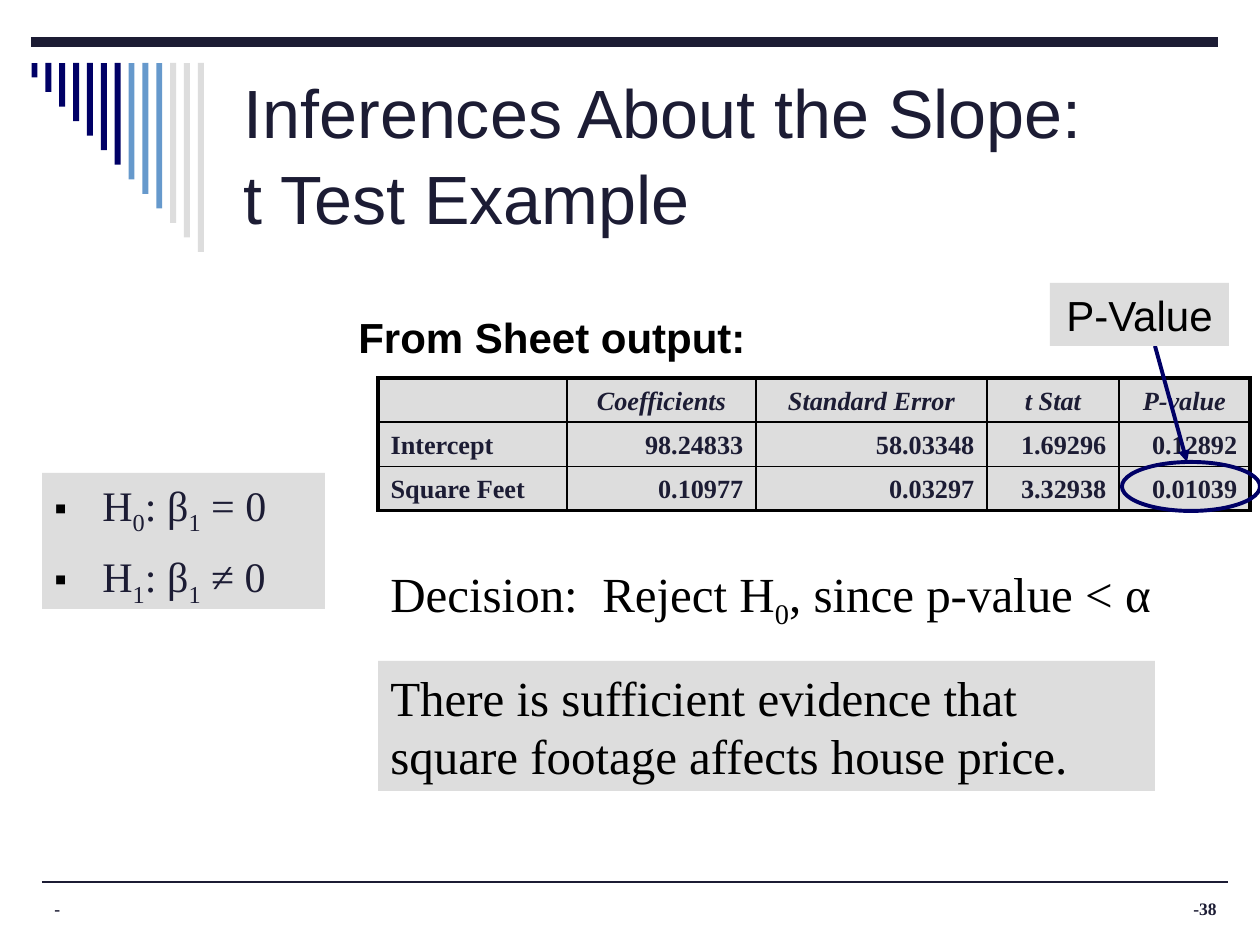
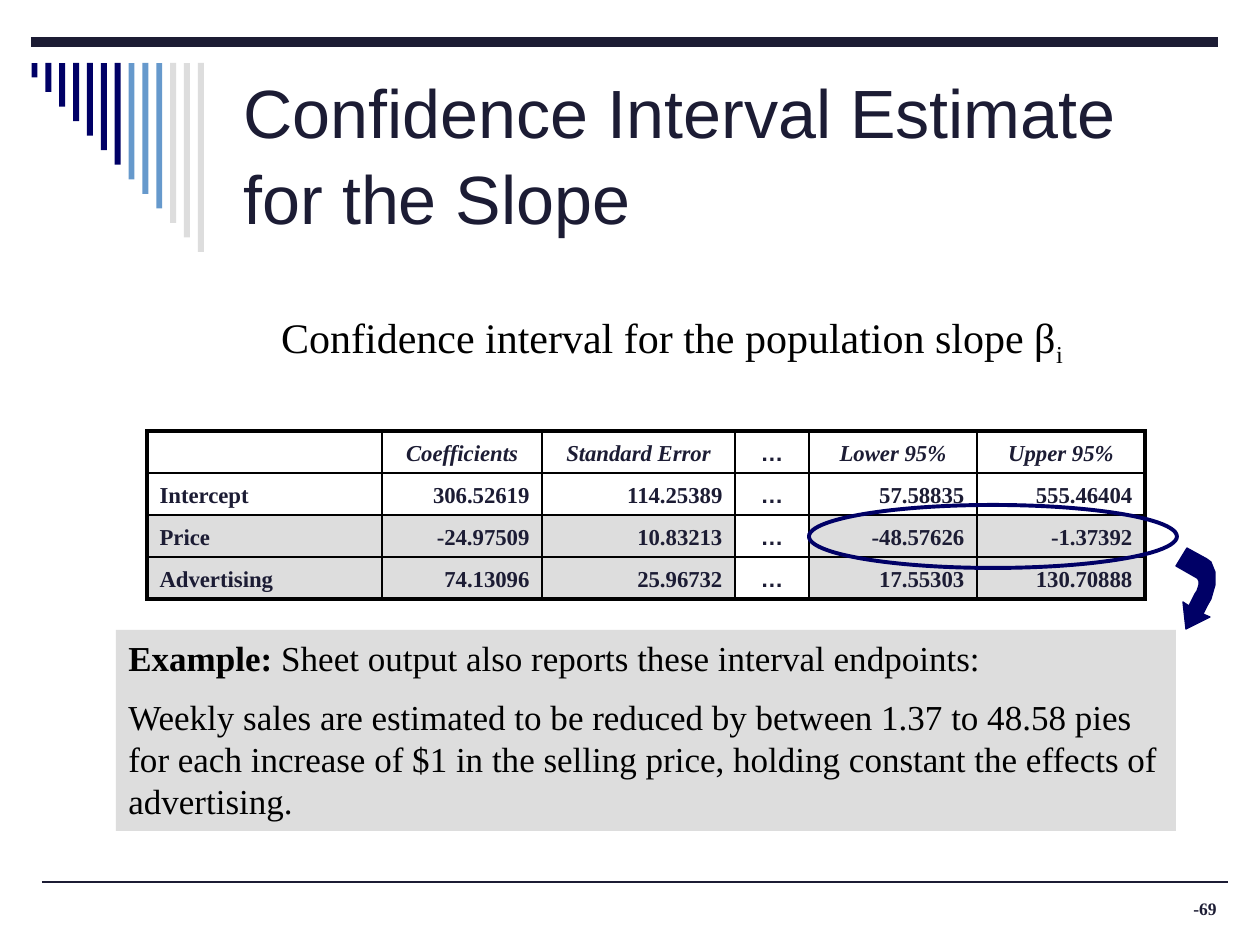
import pptx
import pptx.util
import pptx.dml.color
import pptx.enum.shapes
import pptx.enum.text
import pptx.oxml.ns
import lxml.etree

# Content: "_" wraps subscripts, "*" wraps bold words
TESTS = ["H_0_: β_1_ = 0", "H_1_: β_1_ ≠ 0"]
TEST = {
    "title": ["Inferences About the Slope:", "t Test Example"],
    "page": "-38",
    "grid": [
        ["", "Coefficients", "Standard Error", "t Stat", "P-value"],
        ["Intercept", "98.24833", "58.03348", "1.69296", "0.12892"],
        ["Square Feet", "0.10977", "0.03297", "3.32938", "0.01039"],
    ],
}
RANGE = {
    "title": ["Confidence Interval Estimate", "for the Slope"],
    "page": "-69",
    "grid": [
        ["", "Coefficients", "Standard Error", "…", "Lower 95%", "Upper 95%"],
        ["Intercept", "306.52619", "114.25389", "…", "57.58835", "555.46404"],
        ["Price", "-24.97509", "10.83213", "…", "-48.57626", "-1.37392"],
        ["Advertising", "74.13096", "25.96732", "…", "17.55303", "130.70888"],
    ],
}
SALES = [
    "*Example:* Sheet output also reports these interval endpoints:",
    "Weekly sales are estimated to be reduced by between 1.37 to 48.58 pies "
    "for each increase of $1 in the selling price, holding constant the "
    "effects of advertising.",
]

# Shared look
HUES = {"ink": "1C1C34", "navy": "000066", "sky": "6699CC",
        "gray": "DDDDDD", "black": "000000", "white": "FFFFFF"}
SANS, SERIF = "Arial", "Times New Roman"
PX = 914400 / 126
ALIGN = {"l": pptx.enum.text.PP_ALIGN.LEFT,
         "c": pptx.enum.text.PP_ALIGN.CENTER,
         "r": pptx.enum.text.PP_ALIGN.RIGHT}
MID = pptx.enum.text.MSO_ANCHOR.MIDDLE
LOW = pptx.enum.text.MSO_ANCHOR.BOTTOM
KIND = pptx.enum.shapes.MSO_SHAPE
STRIPES = ["navy"] * 7 + ["sky"] * 3 + ["gray"] * 3


def emu(*px):
    return [round(n * PX) for n in px]


def hue(name):
    return pptx.dml.color.RGBColor.from_string(HUES[name])


def node(top, tag, **attrs):
    return lxml.etree.SubElement(top, pptx.oxml.ns.qn(tag), attrs)


def text(frame, lines, size=24, font=SERIF, color="black", bold=False,
         ital=False, align="l", gap=0, lead=None, bullet=None):
    """Fill a text frame, one paragraph a line."""
    frame.word_wrap = True
    for i, line in enumerate(lines):
        para = frame.paragraphs[0] if i == 0 else frame.add_paragraph()
        para.alignment = ALIGN[align]
        para.line_spacing = lead
        if i:
            para.space_before = pptx.util.Pt(gap)
        if bullet:
            props = para._p.get_or_add_pPr()
            inset = emu(48)[0]
            props.set("marL", str(inset))
            props.set("indent", str(-inset))
            node(node(props, "a:buClr"), "a:srgbClr", val=HUES["black"])
            node(props, "a:buSzPct", val="85000")
            node(props, "a:buFont", typeface=SANS)
            node(props, "a:buChar", char=bullet)
        if not line:
            node(para._p, "a:endParaRPr", sz=str(size * 100))
        for b, part in enumerate(line.split("*")):
            for s, bit in enumerate(part.split("_")):
                if not bit:
                    continue
                run = para.add_run()
                run.text = bit
                run.font.size = pptx.util.Pt(size)
                run.font.name = font
                run.font.bold = bold or b % 2 == 1
                run.font.italic = ital
                run.font.color.rgb = hue(color)
                if s % 2:
                    run.font._element.set("baseline", "-25000")


def paint(shape, fill=None, line=None, width=1):
    shape.shadow.inherit = False
    if fill:
        shape.fill.solid()
        shape.fill.fore_color.rgb = hue(fill)
    else:
        shape.fill.background()
    if line:
        shape.line.color.rgb = hue(line)
        shape.line.width = pptx.util.Pt(width)
    else:
        shape.line.fill.background()


def shape(slide, kind, at, **look):
    item = slide.shapes.add_shape(kind, *emu(*at))
    paint(item, **look)
    return item


def box(slide, at, lines, fill=None, **form):
    item = slide.shapes.add_textbox(*emu(*at))
    if fill:
        item.fill.solid()
        item.fill.fore_color.rgb = hue(fill)
    text(item.text_frame, lines, **form)
    return item


def rule(slide, ends, color, width, arrow=False):
    item = slide.shapes.add_connector(
        pptx.enum.shapes.MSO_CONNECTOR.STRAIGHT, *emu(*ends))
    item.line.color.rgb = hue(color)
    item.line.width = pptx.util.Pt(width)
    if arrow:
        node(item.line._get_or_add_ln(), "a:tailEnd", type="triangle")
    node(item._element.spPr, "a:effectLst")


def edge(cell, **widths):
    """Draw cell borders; widths in points, keyed L, R, T, B."""
    props = cell._tc.get_or_add_tcPr()
    for side, width in widths.items():
        line = node(props, "a:ln" + side, w=str(round(width * 12700)))
        node(node(line, "a:solidFill"), "a:srgbClr", val=HUES["black"])


def table(slide, left, top, cols, high, grid, size, under, shade):
    """Table with a heavy frame; shade(row, col) tells the gray cells."""
    rows, wide = len(grid), len(cols)
    item = slide.shapes.add_table(
        rows, wide, *emu(left, top, sum(cols), high * rows)).table
    item.horz_banding = False
    for c, width in enumerate(cols):
        item.columns[c].width = emu(width)[0]
    for r, row in enumerate(grid):
        item.rows[r].height = emu(high)[0]
        for c, word in enumerate(row):
            cell = item.cell(r, c)
            dots = word == "…"
            side = "c" if r == 0 or dots else "r" if c else "l"
            text(cell.text_frame, [word], size=size, color="ink", bold=True,
                 font=SANS if dots else SERIF, align=side,
                 ital=r == 0 and not dots)
            cell.vertical_anchor = LOW
            edge(cell, L=1 if c else 2.25,
                 R=2.25 if c == wide - 1 else 1,
                 T=2.25 if r == 0 else under if r == 1 else 1,
                 B=2.25 if r == rows - 1 else under if r == 0 else 1)
            cell.fill.solid()
            cell.fill.fore_color.rgb = hue("gray" if shade(r, c) else "white")


def curve(a, b, c, d, steps=8):
    """Points of a cubic curve after its start a."""
    for t in (n / steps for n in range(1, steps + 1)):
        u = 1 - t
        yield tuple(u**3 * p + 3 * u * u * t * q + 3 * u * t * t * v + t**3 * w
                    for p, q, v, w in zip(a, b, c, d))


def page(deck, data):
    """Start a slide with title, stripes, rules and page number."""
    slide = deck.slides.add_slide(deck.slide_layouts[5])
    rule(slide, (42, 882, 1228, 882), "ink", 1)
    rule(slide, (31, 42, 1218, 42), "ink", 6)
    for i, color in enumerate(STRIPES):
        shape(slide, KIND.RECTANGLE,
              (31.5 + 13.86 * i, 63, 6, 14.54 * (i + 1)), fill=color)
    title = slide.shapes.title
    title.left, title.top, title.width, title.height = emu(231, 63, 966, 179)
    frame = title.text_frame
    text(frame, data["title"], size=39, font=SANS, color="ink", lead=1.04)
    frame.auto_size = pptx.enum.text.MSO_AUTO_SIZE.NONE
    frame.vertical_anchor = MID
    box(slide, (935, 892, 294, 32), [data["page"]], size=10, color="ink",
        bold=True, align="r")
    return slide


def test(deck):
    slide = page(deck, TEST)
    box(slide, (42, 892, 788, 32), ["-"], size=10, color="ink", bold=True)
    box(slide, (42, 473, 283, 136), TESTS, fill="gray", color="ink",
        gap=8, bullet="▪")
    box(slide, (346, 305, 505, 63), ["From Sheet output:"], font=SANS,
        bold=True)
    table(slide, 378, 378, [189, 189, 231, 132, 131], 44, TEST["grid"],
          15, 1, lambda r, c: True)

    # P-value callout
    shape(slide, KIND.OVAL, (1122, 462, 138, 49), line="navy", width=2.25)
    rule(slide, (1155, 346, 1187, 462), "navy", 2.25, arrow=True)
    box(slide, (1050, 283, 179, 63), ["P-Value"], fill="gray", font=SANS,
        align="c")

    # Conclusion
    box(slide, (378, 661, 777, 130),
        ["There is sufficient evidence that square footage affects house "
         "price."], fill="gray", size=28)
    box(slide, (378, 557, 819, 71),
        ["Decision:  Reject H_0_, since p-value < α"], size=28)


def span(deck):
    slide = page(deck, RANGE)
    box(slide, (168, 305, 1008, 63),
        ["Confidence interval for the population slope β_i_"], align="c")
    box(slide, (116, 630, 1060, 201), SALES, fill="gray", size=20, gap=10)
    table(slide, 147, 431, [235, 160, 193, 74, 168, 168], 42, RANGE["grid"],
          13, 1.5, lambda r, c: r > 1 and c != 3)
    shape(slide, KIND.OVAL, (809, 505, 368, 63), line="navy", width=2.25)

    # Bent arrow from the ringed limits to the example
    outer, inner = (1207, 606), (1197, 578)
    dots = [(1186, 629), (1210, 617), (1203, 614), outer,
            *curve(outer, (1218, 587), (1218, 566), (1207, 559)),
            (1187, 548), (1176, 566), inner,
            *curve(inner, (1201, 580), (1200, 588), (1193, 598)),
            (1189, 606), (1183, 602)]
    pen = slide.shapes.build_freeform(*dots[0], scale=PX)
    pen.add_line_segments(dots[1:], close=True)
    paint(pen.convert_to_shape(), fill="navy", line="navy", width=0.75)


def main():
    deck = pptx.Presentation()
    deck.slide_width, deck.slide_height = emu(1260, 945)
    test(deck)
    span(deck)
    deck.save("out.pptx")


if __name__ == "__main__":
    main()
